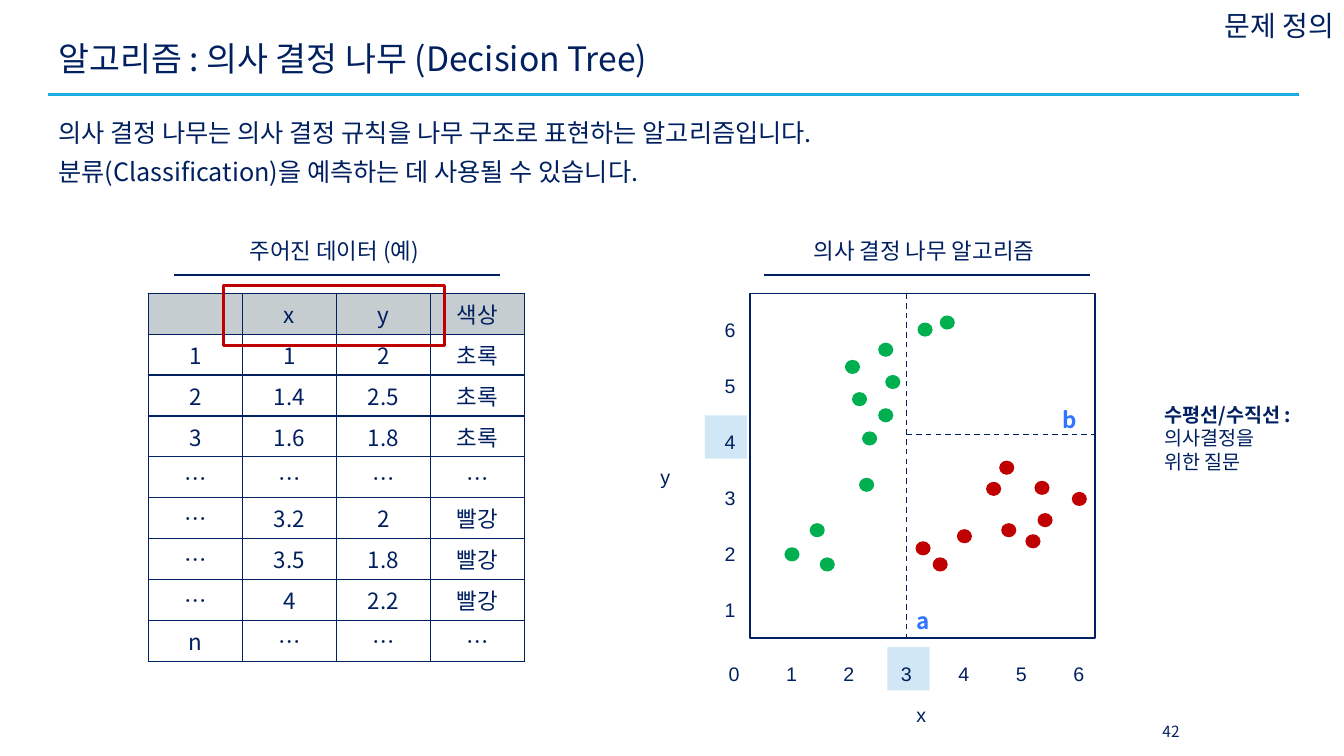
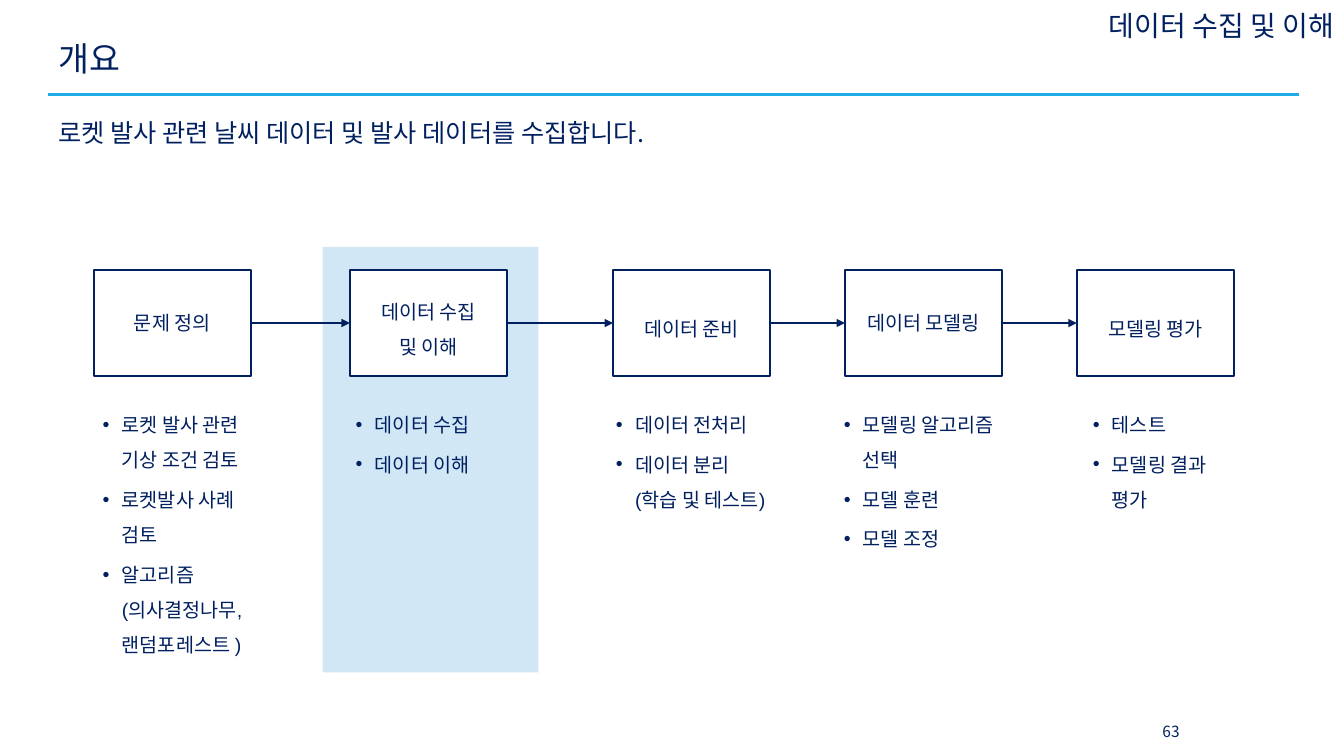
from lxml import etree
from pptx import Presentation
from pptx.dml.color import RGBColor
from pptx.enum.dml import MSO_LINE
from pptx.enum.shapes import MSO_CONNECTOR, MSO_SHAPE
from pptx.enum.text import MSO_ANCHOR, MSO_AUTO_SIZE, PP_ALIGN
from pptx.oxml.ns import qn
from pptx.util import Pt

PX = 9144  # 100 px to the inch
KR, LATIN = "Noto Sans CJK KR", "Arial"
COLORS = {"navy": "002060", "rule": "1CADE4", "pale": "D1E7F6", "head": "C6CDD1",
          "green": "00B050", "red": "C00000", "blue": "3075FF", "white": "FFFFFF"}
LEFT, CENTER, RIGHT = PP_ALIGN.LEFT, PP_ALIGN.CENTER, PP_ALIGN.RIGHT

DATA = [["", "x", "y", "색상"],
        ["1", "1", "2", "초록"],
        ["2", "1.4", "2.5", "초록"],
        ["3", "1.6", "1.8", "초록"],
        ["…", "…", "…", "…"],
        ["…", "3.2", "2", "빨강"],
        ["…", "3.5", "1.8", "빨강"],
        ["…", "4", "2.2", "빨강"],
        ["n", "…", "…", "…"]]

# Corner of each dot, in px from the corner of the plot
DOTS = {"green": [(34, 252), (111, 137), (108, 183), (59, 228), (101, 98), (94, 66),
                  (188, 22), (134, 81), (127, 114), (69, 262), (166, 29), (127, 49)],
        "red": [(164, 246), (181, 262), (205, 234), (249, 228), (282, 186),
                (319, 197), (273, 239), (234, 187), (247, 166), (285, 218)]}

# Box left, label lines, line spacing, list left, list width, list items
STEPS = [(0, ["문제 정의"], 1, -1, 180,
          ["로켓 발사 관련 기상 조건 검토", "로켓발사 사례 검토",
           "알고리즘 (의사결정나무,\n랜덤포레스트 )"]),
         (254, ["데이터 수집", "및 이해"], 1.5, 250, 163, ["데이터 수집", "데이터 이해"]),
         (515, ["데이터 준비"], 1.5, 508, 170,
          ["데이터 전처리", "데이터 분리 (학습 및 테스트)"]),
         (745, ["데이터 모델링"], 1, 734, 185,
          ["모델링 알고리즘 선택", "모델 훈련", "모델 조정"]),
         (975, ["모델링 평가"], 1.5, 981, 170, ["테스트", "모델링 결과 평가"])]


def px(*lengths):
    return [round(v * PX) for v in lengths]


def rgb(name):
    return RGBColor.from_string(COLORS[name])


def write(p, text, size, font=KR, color="navy", bold=False, align=LEFT, spacing=1, before=0):
    p.alignment, p.line_spacing, p.space_before = align, spacing, Pt(before)
    for i, part in enumerate(text.split("\n")):
        if i:
            p.add_line_break()
        r = p.add_run()
        r.text = part
        r.font.size, r.font.name, r.font.bold = Pt(size), font, bold
        r.font.color.rgb = rgb(color)
        etree.SubElement(r.font._element, qn("a:ea"), typeface=KR)


def set_bullet(p, indent=0, char=None):
    pPr = p._p.get_or_add_pPr()
    pPr.set("marL", str(indent * PX))
    pPr.set("indent", str(-indent * PX))
    if char:
        etree.SubElement(pPr, qn("a:buFont"), typeface=LATIN)
        etree.SubElement(pPr, qn("a:buChar"), char=char)
    else:
        etree.SubElement(pPr, qn("a:buNone"))


def paragraphs(tf, count):
    return [tf.paragraphs[0]] + [tf.add_paragraph() for _ in range(count - 1)]


def add_box(s, x, y, w, h, anchor=MSO_ANCHOR.MIDDLE, wrap=True):
    tf = s.shapes.add_textbox(*px(x, y, w, h)).text_frame
    tf.word_wrap, tf.vertical_anchor = wrap, anchor
    return tf


def add_label(s, x, y, w, h, text, size, **style):
    write(add_box(s, x, y, w, h).paragraphs[0], text, size, **style)


def add_low_box(s, x, y, w, h):
    """Add a top-anchored box with a deeper top inset."""
    tf = add_box(s, x, y, w, h, MSO_ANCHOR.TOP)
    tf.margin_top = px(12)[0]
    return tf


def add_mark(s, x, y, w, h, text, size=14, **style):
    write(add_low_box(s, x, y, w, h).paragraphs[0], text, size, spacing=1.5, **style)


def add_shape(s, kind, x, y, w, h, fill=None, line=None, width=1):
    sp = s.shapes.add_shape(kind, *px(x, y, w, h))
    sp.shadow.inherit = False
    if fill:
        sp.fill.solid()
        sp.fill.fore_color.rgb = rgb(fill)
    else:
        sp.fill.background()
    if line:
        sp.line.color.rgb, sp.line.width = rgb(line), Pt(width)
    else:
        sp.line.fill.background()
    return sp


def add_line(s, x1, y1, x2, y2, color="navy", width=1, dashed=False, arrow=False):
    line = s.shapes.add_connector(MSO_CONNECTOR.STRAIGHT, *px(x1, y1, x2, y2))
    line.line.color.rgb, line.line.width = rgb(color), Pt(width)
    if dashed:
        line.line.dash_style = MSO_LINE.DASH
    if arrow:
        etree.SubElement(line.line._get_or_add_ln(), qn("a:tailEnd"), type="triangle")
    etree.SubElement(line._element.spPr, qn("a:effectLst"))
    return line


def place(sp, x, y, w, h):
    sp.left, sp.top, sp.width, sp.height = px(x, y, w, h)


def set_up_layout(layout, s):
    """Place the shared title, body and header rule on the layout."""
    place(layout.placeholders[0], 48, 29, 1240, 63)
    place(layout.placeholders[1], 48, 102, 1240, 126)
    rule = add_line(s, 48, 94, 1288, 94, "rule", 2.25)
    rule._element.nvCxnSpPr.cNvPr.set("id", "20")
    layout.shapes._spTree.append(rule._element)


def add_frame(s, title, body, section, number):
    """Fill the title, body, section name and page number."""
    tf = s.shapes.title.text_frame
    tf.auto_size, tf.vertical_anchor = MSO_AUTO_SIZE.NONE, MSO_ANCHOR.MIDDLE
    write(tf.paragraphs[0], title, 24, spacing=0.9)
    tf = s.placeholders[1].text_frame
    tf.auto_size, tf.vertical_anchor = MSO_AUTO_SIZE.NONE, MSO_ANCHOR.TOP
    set_bullet(tf.paragraphs[0])
    write(tf.paragraphs[0], body, 18, spacing=1.3)
    add_label(s, 926, 4, 407, 43, section, 20, align=RIGHT)
    add_label(s, 1130, 706, 63, 40, number, 11, align=CENTER)


def add_caption(s, x, y, text):
    add_label(s, x + 20, y, 277, 43, text, 16, align=CENTER)
    add_line(s, x, y + 46, x + 323, y + 46)


def format_cell(cell, text, fill):
    cell.vertical_anchor = MSO_ANCHOR.MIDDLE
    cell.margin_top = cell.margin_bottom = px(2)[0]
    tcPr = cell._tc.get_or_add_tcPr()
    for side in ("lnL", "lnR", "lnT", "lnB"):
        ln = etree.SubElement(tcPr, qn(f"a:{side}"), w=str(Pt(1)))
        solid = etree.SubElement(ln, qn("a:solidFill"))
        etree.SubElement(solid, qn("a:srgbClr"), val=COLORS["navy"])
    if fill:
        cell.fill.solid()
        cell.fill.fore_color.rgb = rgb(fill)
    else:
        cell.fill.background()
    if text:
        write(cell.text_frame.paragraphs[0], text, 16, align=CENTER)


def add_data_table(s, x, y, w, h):
    table = s.shapes.add_table(len(DATA), len(DATA[0]), *px(x, y, w, h)).table
    table.first_row = table.horz_banding = False
    for i, row in enumerate(DATA):
        for j, text in enumerate(row):
            format_cell(table.cell(i, j), text, None if i else "head")
    add_shape(s, MSO_SHAPE.RECTANGLE, x + 75, y - 8, 219, 60, line="red", width=2.25)


def add_plot(s, x, y, side):
    """Draw the scatter plot with its axes and its two dividing lines."""
    for left, top in ((x + 136, y + side + 9), (x - 45, y + 121)):
        add_shape(s, MSO_SHAPE.RECTANGLE, left, top, 42, 43, "pale")
    add_shape(s, MSO_SHAPE.RECTANGLE, x, y, side, side, line="navy")
    tick = {"font": LATIN, "align": CENTER}
    for n in range(7):
        add_mark(s, x - 36 + 57 * n, y + side, 40, 41, str(n), **tick)
        if n:
            add_mark(s, x - 40, y + 333.4 - 55.4 * n, 40, 41, str(n), **tick)
    add_mark(s, x - 99, y + 147, 81, 48, "y", font=LATIN)
    add_mark(s, x + 155, y + 383, 81, 48, "x", font=LATIN)
    for color, dots in DOTS.items():
        for dx, dy in dots:
            add_shape(s, MSO_SHAPE.OVAL, x + dx, y + dy, 15, 14, color)
    add_line(s, x + 155, y, x + 155, y + side, dashed=True)
    add_line(s, x + 155, y + 140, x + side, y + 140, dashed=True)
    add_mark(s, x + 300, y + 87, 41, 47, "b", 16, color="blue", bold=True)
    add_mark(s, x + 155, y + 286, 41, 52, "a", 16, color="blue", bold=True)


def add_side_note(s, x, y, w, h):
    head, rest = paragraphs(add_box(s, x, y, w, h, wrap=False), 2)
    write(head, "수평선/수직선 :", 14, bold=True)
    write(rest, "의사결정을 \n위한 질문", 14)


def add_step(s, x, y, labels, spacing):
    sp = add_shape(s, MSO_SHAPE.RECTANGLE, x, y, 156, 105, "white", "navy", 1.5)
    tf = sp.text_frame
    tf.vertical_anchor = MSO_ANCHOR.MIDDLE
    for p, text in zip(paragraphs(tf, len(labels)), labels):
        write(p, text, 14, align=CENTER, spacing=spacing)
    return sp


def add_step_list(s, x, y, w, items):
    tf = add_low_box(s, x, y, w, 268)
    for i, (p, text) in enumerate(zip(paragraphs(tf, len(items)), items)):
        set_bullet(p, 19, "•")
        write(p, text, 14, font=LATIN, spacing=1.5, before=3 if i else 0)


def add_process(s, x, y):
    """Draw the steps, their lists and the arrows, with the second step marked."""
    add_shape(s, MSO_SHAPE.RECTANGLE, x + 227, y - 23, 214, 422, "pale")
    previous = None
    for left, labels, spacing, list_left, width, items in STEPS:
        step = add_step(s, x + left, y, labels, spacing)
        add_step_list(s, x + list_left, y + 118, width, items)
        if previous:
            arrow = add_line(s, x, y, x + left, y, arrow=True)
            arrow.begin_connect(previous, 3)
            arrow.end_connect(step, 1)
        previous = step


def build_tree_slide(s):
    add_frame(s, "알고리즘 : 의사 결정 나무 (Decision Tree)",
              "의사 결정 나무는 의사 결정 규칙을 나무 구조로 표현하는 알고리즘입니다. \n"
              "분류(Classification)을 예측하는 데 사용될 수 있습니다.", "문제 정의", "42")
    add_caption(s, 173, 227, "주어진 데이터 (예)")
    add_data_table(s, 147, 291, 373, 365)
    add_caption(s, 758, 227, "의사 결정 나무 알고리즘")
    add_plot(s, 744, 291, 342)
    add_side_note(s, 1145, 396, 166, 77)


def build_overview_slide(s):
    add_frame(s, "개요", "로켓 발사 관련 날씨 데이터 및 발사 데이터를 수집합니다.",
              "데이터 수집 및 이해", "63")
    add_process(s, 93, 268)


def main():
    prs = Presentation()
    prs.slide_width, prs.slide_height = px(1333, 750)
    layout = prs.slide_layouts[1]
    tree, overview = [prs.slides.add_slide(layout) for _ in range(2)]
    set_up_layout(layout, tree)
    build_tree_slide(tree)
    build_overview_slide(overview)
    prs.save("out.pptx")


if __name__ == "__main__":
    main()
